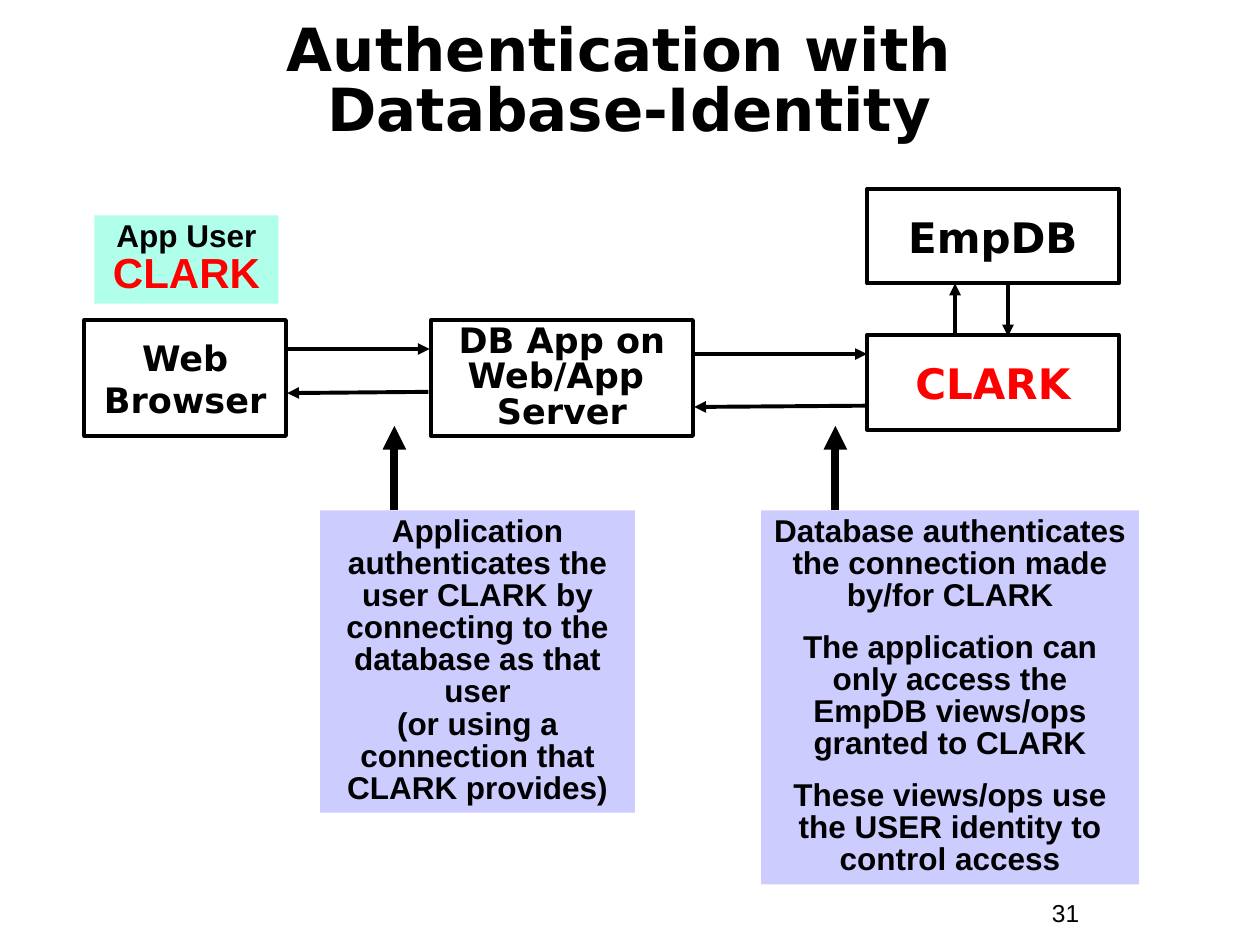
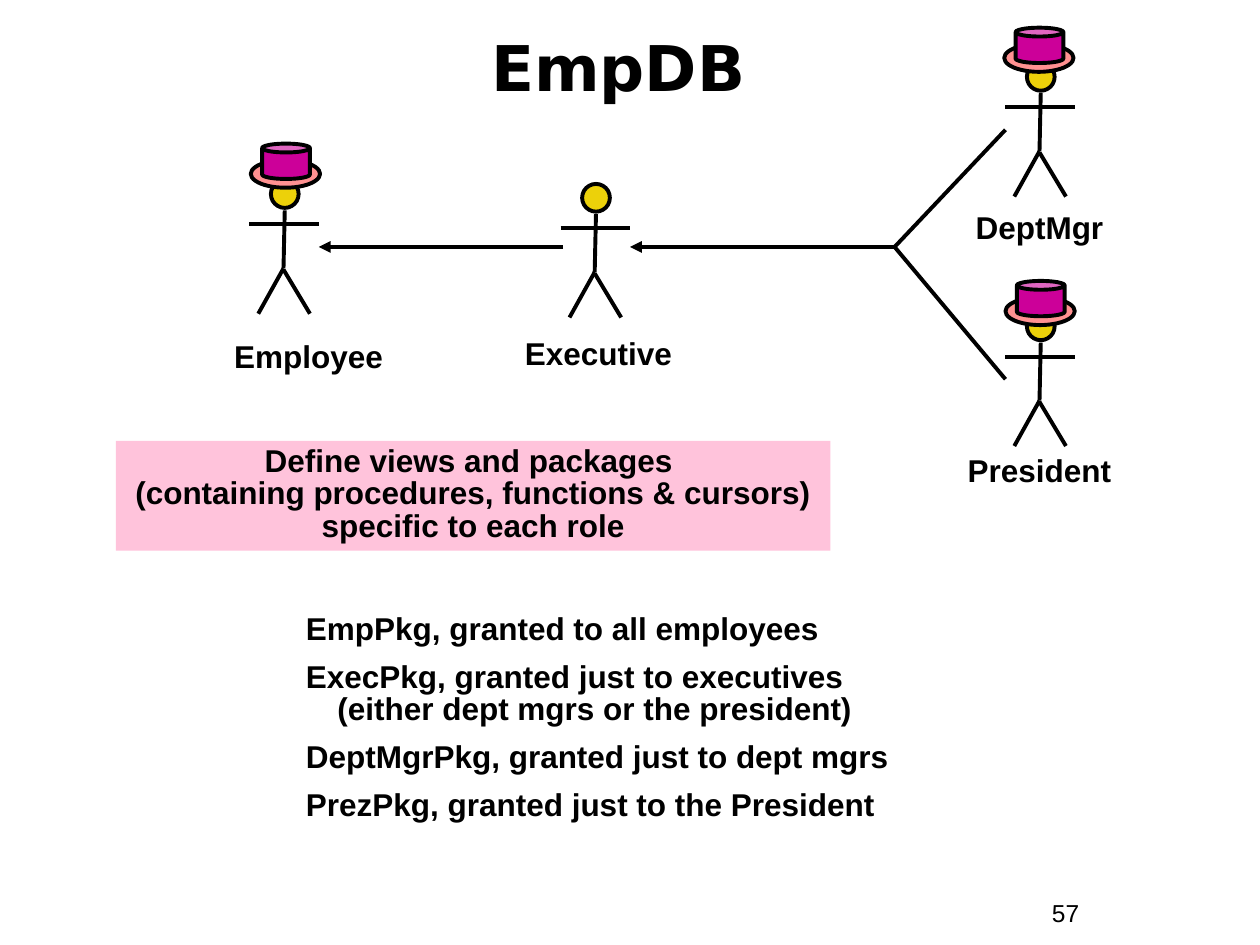
from lxml.etree import SubElement
from pptx import Presentation
from pptx.dml.color import RGBColor
from pptx.enum.shapes import MSO_CONNECTOR, MSO_SHAPE
from pptx.enum.text import MSO_ANCHOR, PP_ALIGN
from pptx.oxml.ns import qn
from pptx.util import Inches, Pt

BLACK = RGBColor(0x00, 0x00, 0x00)
RED = RGBColor(0xFF, 0x00, 0x00)
MINT = RGBColor(0xAF, 0xFF, 0xEA)
LAVENDER = RGBColor(0xCC, 0xCC, 0xFF)
PINK = RGBColor(0xFF, 0xC3, 0xDB)
YELLOW = RGBColor(0xEC, 0xD1, 0x0A)
SALMON = RGBColor(0xFF, 0x91, 0x91)
MAGENTA = RGBColor(0xCC, 0x00, 0x99)

HEADING_FONT = "DejaVu Sans"
BODY_FONT = "Arial"
LINE_WIDTH = 2.25
TIGHT = 0.85


# Text and shapes
def write(shape, texts, size=18, font=BODY_FONT, color=BLACK, bold=True,
          align=PP_ALIGN.CENTER, spacing=TIGHT, gap=11.2, anchor=MSO_ANCHOR.TOP, wrap=True):
    frame = shape.text_frame
    frame.word_wrap = wrap
    frame.vertical_anchor = anchor
    for index, text in enumerate(texts):
        paragraph = frame.add_paragraph() if index else frame.paragraphs[0]
        paragraph.text = text
        paragraph.alignment = align
        paragraph.line_spacing = spacing
        if index:
            paragraph.space_before = Pt(gap)
        paragraph.font.name = font
        paragraph.font.size = Pt(size)
        paragraph.font.bold = bold
        paragraph.font.color.rgb = color
    return frame


def add_text(slide, bounds, texts, **style):
    box = slide.shapes.add_textbox(*map(Inches, bounds))
    return write(box, texts, **style)


def add_shape(parent, kind, bounds, fill=None, outlined=True):
    shape = parent.shapes.add_shape(kind, *map(Inches, bounds))
    shape.shadow.inherit = False
    if fill is None:
        shape.fill.background()
    else:
        shape.fill.solid()
        shape.fill.fore_color.rgb = fill
    if outlined:
        shape.line.color.rgb = BLACK
        shape.line.width = Pt(LINE_WIDTH)
    else:
        shape.line.fill.background()
    return shape


def add_system(slide, bounds, text, size, color=BLACK, spacing=1.0):
    box = add_shape(slide, MSO_SHAPE.RECTANGLE, bounds)
    write(box, [text], size, HEADING_FONT, color, spacing=spacing,
          anchor=MSO_ANCHOR.MIDDLE, wrap=False)


def add_note(slide, bounds, fill, texts):
    return write(add_shape(slide, MSO_SHAPE.RECTANGLE, bounds, fill, outlined=False), texts)


def add_line(parent, start, end, width=LINE_WIDTH, arrow=False):
    line = parent.shapes.add_connector(MSO_CONNECTOR.STRAIGHT, *map(Inches, (*start, *end)))
    line.line.color.rgb = BLACK
    line.line.width = Pt(width)
    properties = line._element.spPr
    if arrow:
        SubElement(properties.find(qn("a:ln")), qn("a:tailEnd"), type="triangle")
    SubElement(properties, qn("a:effectLst"))


# Stick figures
def add_figure(slide, left, top):
    figure = slide.shapes.add_group_shape()
    add_shape(figure, MSO_SHAPE.OVAL, (left, top, 0.22, 0.22), YELLOW)
    limbs = [
        ((0.11, 0.24), (0.10, 0.70)),   # body
        ((-0.10, 1.06), (0.10, 0.70)),  # left leg
        ((0.31, 1.06), (0.10, 0.71)),   # right leg
        ((-0.17, 0.35), (0.38, 0.35)),  # arms
    ]
    for (x1, y1), (x2, y2) in limbs:
        add_line(figure, (left + x1, top + y1), (left + x2, top + y2))


def add_hat(slide, left, top):
    hat = slide.shapes.add_group_shape()
    add_shape(hat, MSO_SHAPE.OVAL, (left, top, 0.55, 0.22), SALMON)
    add_shape(hat, MSO_SHAPE.CAN, (left + 0.09, top - 0.13, 0.38, 0.28), MAGENTA)


# Slides
def add_slide(presentation, number, title, title_top, title_height, title_size, spacing):
    slide = presentation.slides.add_slide(presentation.slide_layouts[6])
    add_text(slide, (8.25, 7.08, 0.92, 0.34), [number], size=14, bold=False,
             align=PP_ALIGN.LEFT, spacing=1.0)
    add_text(slide, (0.33, title_top, 9.33, title_height), [title], size=title_size,
             font=HEADING_FONT, spacing=spacing, anchor=MSO_ANCHOR.MIDDLE)
    return slide


def build_authentication(presentation):
    slide = add_slide(presentation, "31", "Authentication with \nDatabase-Identity",
                      0.17, 0.98, 34, TIGHT)

    # Systems
    add_system(slide, (0.67, 2.54, 1.6, 0.92), "Web\nBrowser", 20)
    add_system(slide, (3.42, 2.54, 2.08, 0.92), "DB App on\nWeb/App \nServer", 20, spacing=TIGHT)
    add_system(slide, (6.88, 2.66, 2, 0.75), "CLARK", 24, RED)
    add_system(slide, (6.88, 1.5, 2, 0.75), "EmpDB", 24)

    # Requests and replies
    for start, end in [
        ((2.28, 2.77), (3.41, 2.77)), ((3.4, 3.11), (2.28, 3.12)),
        ((5.51, 2.81), (6.88, 2.81)), ((6.88, 3.22), (5.51, 3.23)),
        ((7.58, 2.67), (7.58, 2.25)), ((8, 2.25), (8, 2.67)),
    ]:
        add_line(slide, start, end, arrow=True)

    # User tag
    frame = add_note(slide, (0.75, 1.71, 1.46, 0.7), MINT, ["App User\n"])
    user = frame.paragraphs[0].add_run()
    user.text = "CLARK"
    user.font.size = Pt(24)
    user.font.color.rgb = RED

    # Explanations, each pointing up at a connection
    notes = [
        (2.54, 2.5, 2.4, [
            "Application authenticates the user CLARK by connecting to the database as that user\n"
            "(or using a connection that CLARK provides)"]),
        (6.04, 3, 2.97, [
            "Database authenticates the connection made by/for CLARK",
            "The application can only access the EmpDB views/ops granted to CLARK",
            "These views/ops use the USER identity to control access"]),
    ]
    top = 4.05
    for left, width, height, texts in notes:
        add_note(slide, (left, top, width, height), LAVENDER, texts)
        arrow_x = left + 0.59
        add_line(slide, (arrow_x, top), (arrow_x, 3.38), width=4.5, arrow=True)


def build_roles(presentation):
    slide = add_slide(presentation, "57", "EmpDB ", 0.15, 0.75, 36, 1.0)

    # Packages
    frame = add_text(slide, (1.83, 4.83, 6.42, 1.75), [
        "EmpPkg, granted to all employees",
        "ExecPkg, granted just to executives \n(either dept mgrs or the president)",
        "DeptMgrPkg, granted just to dept mgrs",
        "PrezPkg, granted just to the President",
    ], align=PP_ALIGN.LEFT, gap=9)
    for paragraph in frame.paragraphs:
        properties = paragraph._p.get_or_add_pPr()
        properties.set("marL", str(Inches(0.75)))
        properties.set("indent", str(Inches(-0.25)))
    add_note(slide, (0.92, 3.5, 5.67, 0.87), PINK, [
        "Define views and packages \n"
        "(containing procedures, functions & cursors) specific to each role"])

    # Roles: head position, hat position, label bounds
    roles = [
        ("Employee", (2.15, 1.43), (1.99, 1.27), (1.7, 2.67, 1.5, 0.36)),
        ("Executive", (4.62, 1.46), None, (4, 2.65, 1.5, 0.36)),
        ("DeptMgr", (8.15, 0.5), (7.97, 0.35), (7.25, 1.65, 2, 0.36)),
        ("President", (8.15, 2.48), (7.98, 2.36), (7.25, 3.58, 2, 0.36)),
    ]
    for name, head, hat, label in roles:
        add_figure(slide, *head)
        if hat:
            add_hat(slide, *hat)
        add_text(slide, label, [name])

    # Inheritance
    fork = (7.1, 1.96)
    add_line(slide, fork, (7.98, 1.03))
    add_line(slide, fork, (7.98, 3.01))
    add_line(slide, fork, (5, 1.96), arrow=True)
    add_line(slide, (4.47, 1.96), (2.53, 1.96), arrow=True)


def main():
    presentation = Presentation()
    presentation.slide_width = Inches(10)
    presentation.slide_height = Inches(7.5)
    build_authentication(presentation)
    build_roles(presentation)
    presentation.save("out.pptx")


if __name__ == "__main__":
    main()
